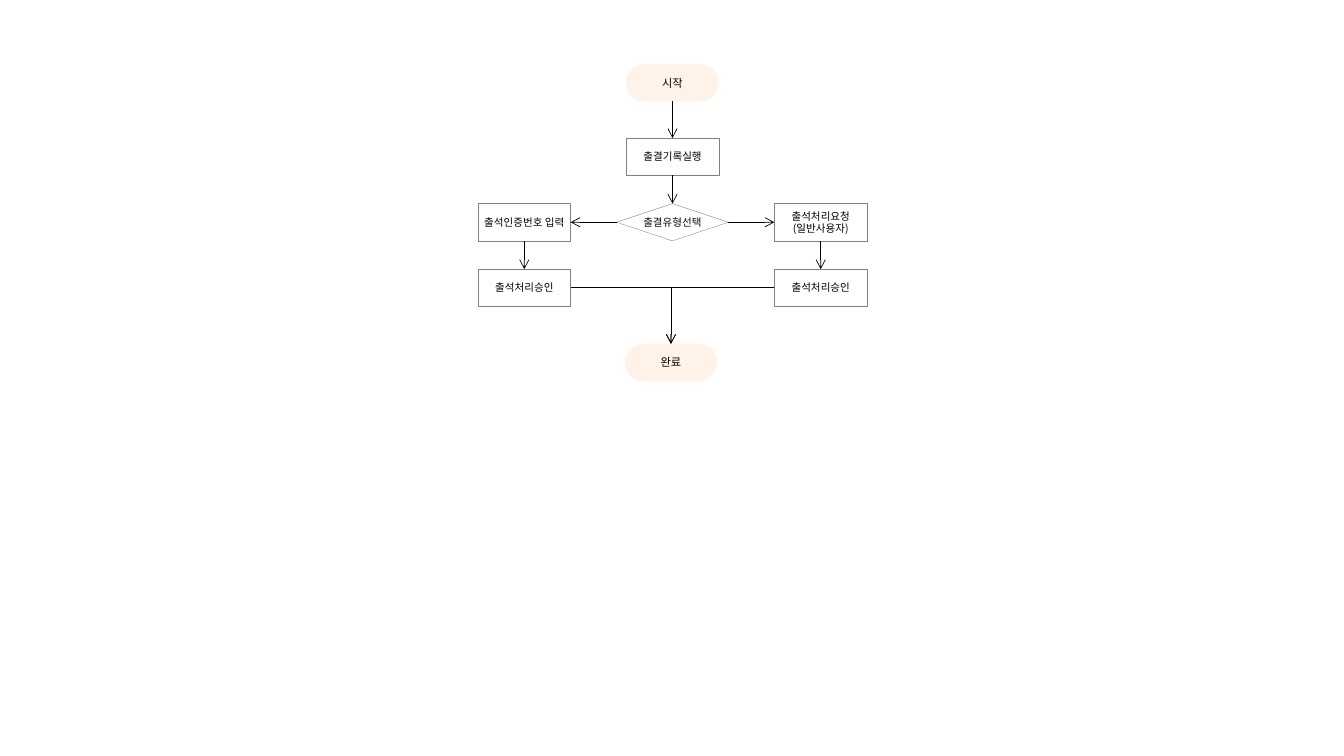
"""Build the attendance check flowchart slide."""
import pptx
import pptx.dml.color
import pptx.enum.shapes
import pptx.enum.text
import pptx.oxml.ns
import pptx.util
from lxml import etree

RGBColor = pptx.dml.color.RGBColor
BLACK = RGBColor(0, 0, 0)
NEAR_BLACK = RGBColor(0x0D, 0x0D, 0x0D)
GREY = RGBColor(0x80, 0x80, 0x80)
WHITE = RGBColor(0xFF, 0xFF, 0xFF)
PEACH = RGBColor(0xFF, 0xF2, 0xE9)

ShapeKind = pptx.enum.shapes.MSO_SHAPE
ConnectorKind = pptx.enum.shapes.MSO_CONNECTOR
TOP, LEFT, BOTTOM, RIGHT = range(4)


class Flowchart:
    """Hold the style and slide, with nodes placed by column and row from the decision."""

    font_name = "Noto Sans CJK KR"
    centre_x, centre_y = 6.67, 2.205
    column_pitch, row_pitch = 1.47, 0.65
    node_height = 0.37

    def __init__(self, slide):
        self.slide = slide

    def node(self, kind, text, column, row, fill, width=0.92, size=7.5, color=BLACK, outline=GREY):
        """Draw a centred, labelled node."""
        left = self.centre_x + column * self.column_pitch - width / 2
        top = self.centre_y + row * self.row_pitch - self.node_height / 2
        box = [pptx.util.Inches(length) for length in (left, top, width, self.node_height)]
        shape = self.slide.shapes.add_shape(kind, *box)
        shape.shadow.inherit = False
        shape.fill.solid()
        shape.fill.fore_color.rgb = fill
        if outline is None:
            shape.line.fill.background()
        else:
            shape.line.color.rgb = outline
            shape.line.width = pptx.util.Pt(0.25)
        frame = shape.text_frame
        frame.word_wrap = False
        frame.vertical_anchor = pptx.enum.text.MSO_ANCHOR.MIDDLE
        frame.margin_left = frame.margin_right = frame.margin_top = frame.margin_bottom = 0
        frame.text = text
        for paragraph in frame.paragraphs:
            self.format_paragraph(paragraph, size, color)
        return shape

    def format_paragraph(self, paragraph, size, color):
        """Set the alignment and the Latin and East Asian fonts."""
        paragraph.alignment = pptx.enum.text.PP_ALIGN.CENTER
        paragraph.font.size = pptx.util.Pt(size)
        paragraph.font.color.rgb = color
        paragraph.font.name = self.font_name
        properties = paragraph._p.find(".//" + pptx.oxml.ns.qn("a:defRPr"))
        etree.SubElement(properties, pptx.oxml.ns.qn("a:ea"), typeface=self.font_name)

    def process(self, text, column, row):
        """Draw a process box."""
        return self.node(ShapeKind.RECTANGLE, text, column, row, WHITE)

    def terminal(self, text, column, row):
        """Draw a start or end pill."""
        shape = self.node(ShapeKind.ROUNDED_RECTANGLE, text, column, row, PEACH, size=8, outline=None)
        shape.adjustments[0] = 0.5
        return shape

    def decision(self, text, column, row):
        """Draw a decision diamond."""
        return self.node(ShapeKind.FLOWCHART_DECISION, text, column, row, WHITE, width=1.11, color=NEAR_BLACK)

    def arrow(self, source, source_side, target, target_side, kind=ConnectorKind.STRAIGHT):
        """Connect two nodes; an elbow turns once."""
        connector = self.slide.shapes.add_connector(kind, 0, 0, 0, 0)
        connector.begin_connect(source, source_side)
        connector.end_connect(target, target_side)
        connector.line.color.rgb = BLACK
        connector.line.width = pptx.util.Pt(0.5)
        properties = connector._element.spPr
        if kind == ConnectorKind.ELBOW:
            properties.find(pptx.oxml.ns.qn("a:prstGeom")).set("prst", "bentConnector2")
        line = properties.find(pptx.oxml.ns.qn("a:ln"))
        etree.SubElement(line, pptx.oxml.ns.qn("a:tailEnd"), type="arrow")
        etree.SubElement(properties, pptx.oxml.ns.qn("a:effectLst"))


presentation = pptx.Presentation()
presentation.slide_width = pptx.util.Inches(13.33)
presentation.slide_height = pptx.util.Inches(7.5)
chart = Flowchart(presentation.slides.add_slide(presentation.slide_layouts[6]))

start = chart.terminal("시작", 0, -2.13)
record = chart.process("출결기록실행", 0, -1)
choice = chart.decision("출결유형선택", 0, 0)
finish = chart.terminal("완료", -0.01, 2.14)

chart.arrow(start, BOTTOM, record, TOP)
chart.arrow(record, BOTTOM, choice, TOP)

branches = (
    (-1, "출석인증번호 입력", LEFT, RIGHT),
    (1, "출석처리요청\n(일반사용자)", RIGHT, LEFT),
)
for column, text, outer_side, inner_side in branches:
    request = chart.process(text, column, 0)
    approval = chart.process("출석처리승인", column, 1)
    chart.arrow(choice, outer_side, request, inner_side)
    chart.arrow(request, BOTTOM, approval, TOP)
    chart.arrow(approval, inner_side, finish, TOP, ConnectorKind.ELBOW)

presentation.save("out.pptx")
